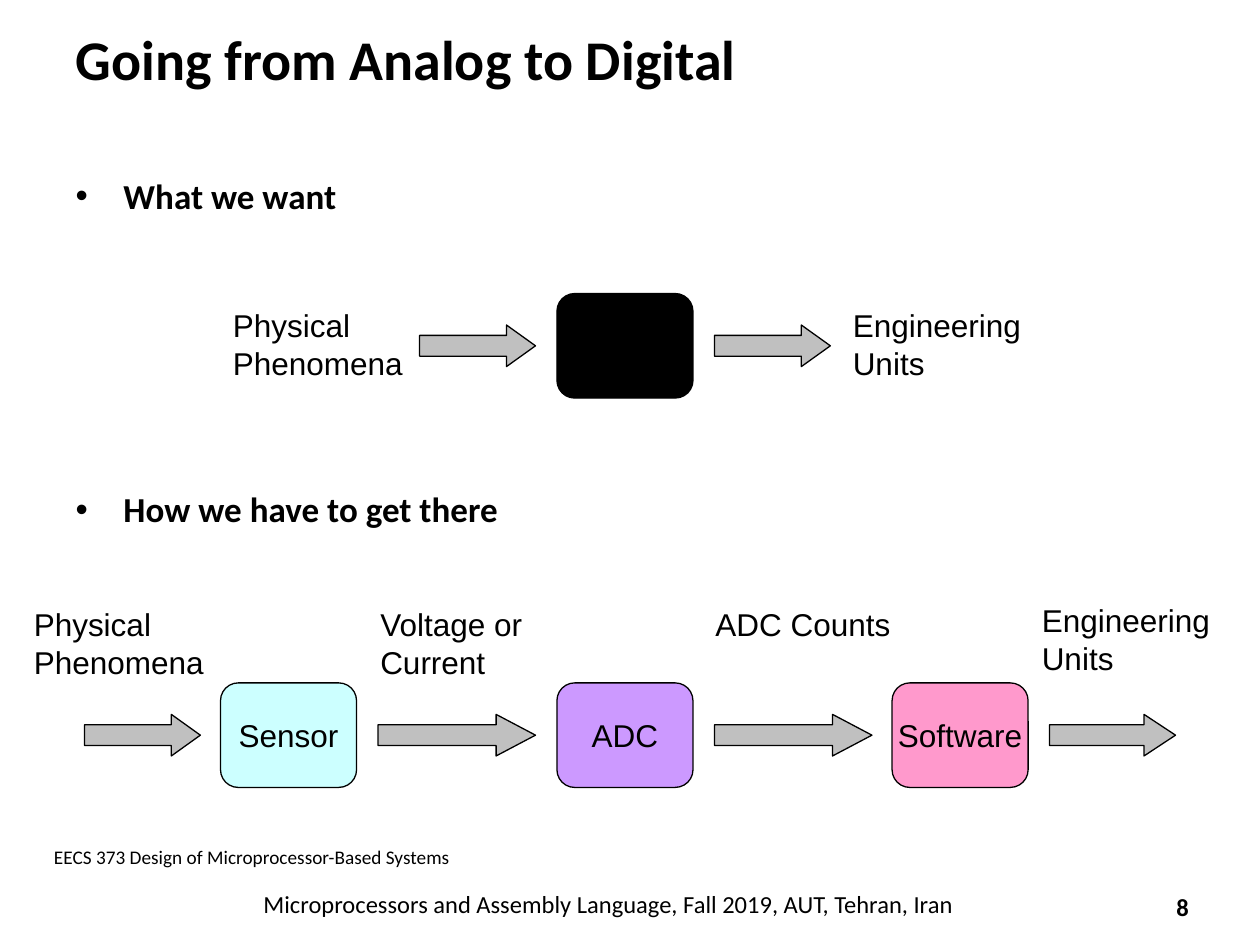
from pptx import Presentation
from pptx.dml.color import RGBColor
from pptx.enum import shapes, text
from pptx.util import Inches, Pt

BLACK, GREY = "000000", "C0C0C0"
HEADING = {"name": "Calibri", "size": Pt(32), "bold": True}
BULLET = {"name": "Calibri", "size": Pt(20), "bold": True}
NUMBER = {"name": "Calibri", "size": Pt(14), "bold": True}
FOOTER = {"name": "Calibri", "size": Pt(14)}
COURSE = {"name": "Calibri", "size": Pt(11)}
LABEL = {"name": "Arial", "size": Pt(18)}
LEFT, CENTER = text.PP_ALIGN.LEFT, text.PP_ALIGN.CENTER
TOP, MIDDLE = text.MSO_ANCHOR.TOP, text.MSO_ANCHOR.MIDDLE

TITLE = "Going from Analog to Digital"
BULLETS = [("What we want", 0), ("How we have to get there", 143)]
NOTES = [
    ("8", (9.09, 7, 0.59, 0.4), NUMBER, CENTER, MIDDLE, 0),
    ("Microprocessors and Assembly Language, Fall 2019, AUT, Tehran, Iran",
     (1.08, 7.01, 7.5, 0.34), FOOTER, CENTER, TOP, None),
    ("EECS 373 Design of Microprocessor-Based Systems",
     (0.5 - 0.17, 6.66, 9.08, 0.29), COURSE, LEFT, TOP, None),
]
FLOWS = [
    {"top": 2.33,
     "blocks": [("", 4.42, BLACK)],
     "arrows": [(3.33, 0.92), (5.67, 0.92)],
     "labels": [("Physical\nPhenomena", 1.75, 2.38, 0.71),
                ("Engineering Units", 6.67, 2.38, 0.71)]},
    {"top": 5.42,
     "blocks": [("Sensor", 1.75, "CCFFFF"), ("ADC", 4.42, "CC99FF"),
                ("Software", 7.08, "FF99CC")],
     "arrows": [(0.67, 0.92), (3, 1.25), (5.67, 1.25), (8.33, 1)],
     "labels": [("Physical\nPhenomena", 0.17, 4.75, 0.71),
                ("Voltage or\nCurrent", 2.92, 4.75, 0.71),
                ("ADC Counts", 5.58, 4.75, 0.4),
                ("Engineering Units", 8.17, 4.72, 0.71)]},
]
BLOCK_WIDTH, BLOCK_HEIGHT, ARROW_HEIGHT, LABEL_WIDTH = 1.08, 0.83, 0.33, 1.67


def color(value):
    return RGBColor.from_string(value)


def place(shape, *bounds):
    for side, value in zip(("left", "top", "width", "height"), bounds):
        setattr(shape, side, Inches(value))


def style(para, font, align=LEFT):
    para.alignment = align
    for span in para.runs:
        for key, value in font.items():
            setattr(span.font, key, value)
        span.font.color.rgb = color(BLACK)


def write(shape, words, font, align=LEFT, anchor=TOP, wrap=True):
    frame = shape.text_frame
    frame.text = words
    frame.word_wrap = wrap
    frame.vertical_anchor = anchor
    frame.auto_size = text.MSO_AUTO_SIZE.NONE
    for para in frame.paragraphs:
        style(para, font, align)
    return frame


def add_text(page, words, bounds, font, align=LEFT, anchor=TOP, margin=None):
    box = page.shapes.add_textbox(*map(Inches, bounds))
    frame = write(box, words, font, align, anchor)
    if margin is not None:
        for side in ("left", "top", "right", "bottom"):
            setattr(frame, f"margin_{side}", Inches(margin))


def add_outlined(page, kind, bounds, fill, adjustments):
    shape = page.shapes.add_shape(kind, *map(Inches, bounds))
    shape.shadow.inherit = False
    shape.fill.solid()
    shape.fill.fore_color.rgb = color(fill)
    shape.line.color.rgb = color(BLACK)
    shape.line.width = Pt(0.75)
    for index, value in enumerate(adjustments):
        shape.adjustments[index] = value
    return shape


def add_bullets(body):
    frame = write(body, "\n".join(words for words, _ in BULLETS), BULLET)
    for para, (_, gap) in zip(frame.paragraphs, BULLETS):
        para.line_spacing = 1.5
        para.space_before = Pt(gap)
        properties = para._p.get_or_add_pPr()
        properties.set("marL", str(Inches(0.38)))
        properties.set("indent", str(-Inches(0.38)))


def add_flow(page, flow):
    top = flow["top"]
    for words, left, fill in flow["blocks"]:
        block = add_outlined(page, shapes.MSO_SHAPE.ROUNDED_RECTANGLE,
                             (left, top, BLOCK_WIDTH, BLOCK_HEIGHT), fill, [0.17])
        if words:
            write(block, words, LABEL, CENTER, MIDDLE, wrap=False)
    arrow_top = top + (BLOCK_HEIGHT - ARROW_HEIGHT) / 2
    for left, width in flow["arrows"]:
        add_outlined(page, shapes.MSO_SHAPE.RIGHT_ARROW,
                     (left, arrow_top, width, ARROW_HEIGHT), GREY,
                     [0.5, width / 4 / ARROW_HEIGHT])
    for words, left, label_top, height in flow["labels"]:
        add_text(page, words, (left, label_top, LABEL_WIDTH, height), LABEL)


def main():
    deck = Presentation()
    deck.slide_width, deck.slide_height = Inches(10), Inches(7.5)
    page = deck.slides.add_slide(deck.slide_layouts[1])
    title, body = page.placeholders
    place(title, 0.5, 0, 9, 0.92)
    write(title, TITLE, HEADING, anchor=MIDDLE)
    place(body, 0.5, 1.17, 9.25, 4.09)
    add_bullets(body)
    for note in NOTES:
        add_text(page, *note)
    for flow in FLOWS:
        add_flow(page, flow)
    deck.save("out.pptx")


if __name__ == "__main__":
    main()
